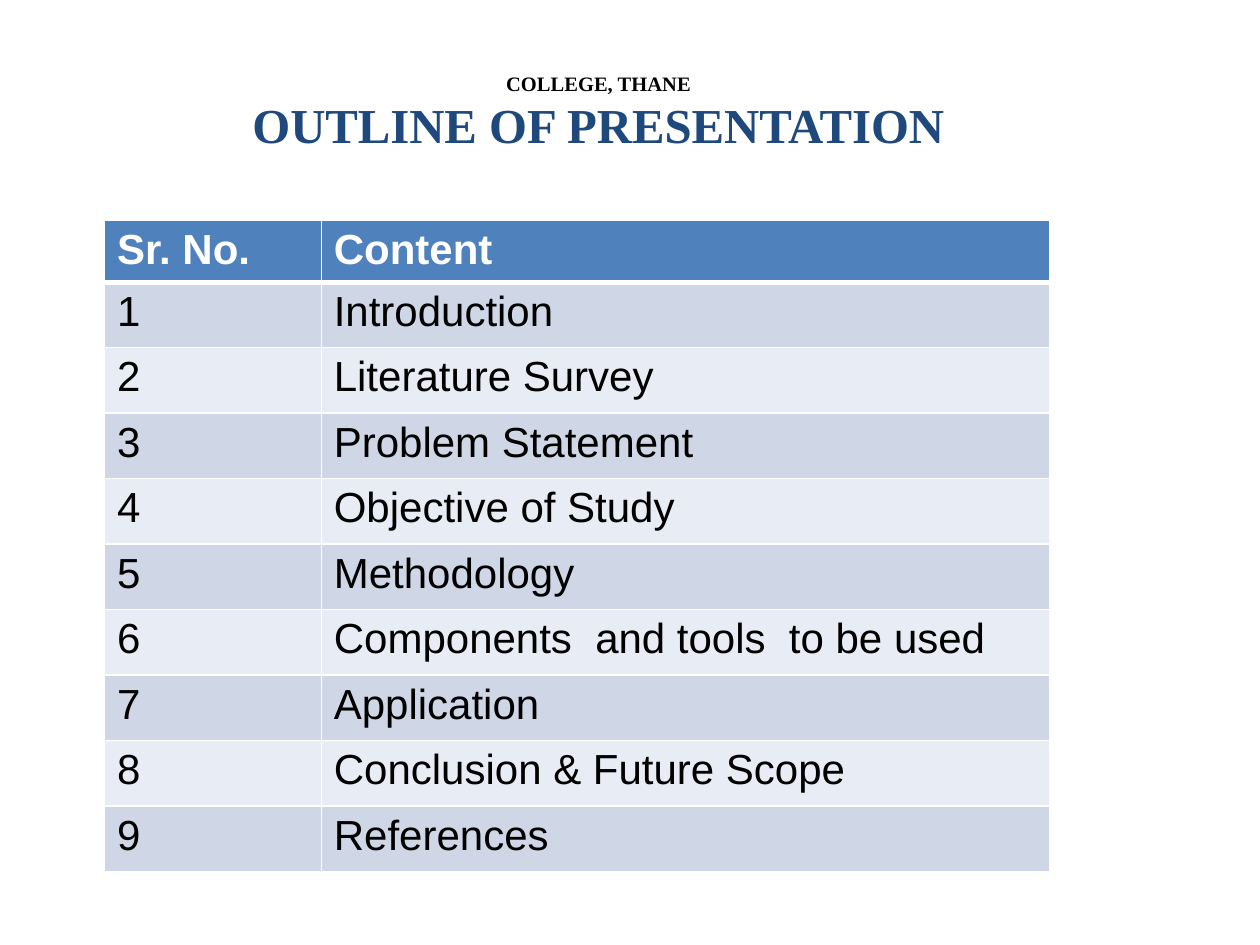
"""Builds the outline slide: a two-line title above a numbered table of contents."""
from lxml import etree
from pptx import Presentation
from pptx.dml.color import RGBColor
from pptx.enum.text import MSO_ANCHOR, PP_ALIGN
from pptx.oxml.ns import qn
from pptx.util import Inches, Pt

MIDDLE = MSO_ANCHOR.MIDDLE
CENTER = PP_ALIGN.CENTER
WHITE = RGBColor(0xFF, 0xFF, 0xFF)
BLACK = RGBColor(0x00, 0x00, 0x00)
NAVY = RGBColor(0x1F, 0x49, 0x7D)
HEADER_BLUE = RGBColor(0x4F, 0x81, 0xBD)
ODD_BAND = RGBColor(0xCF, 0xD7, 0xE7)
EVEN_BAND = RGBColor(0xE8, 0xEC, 0xF4)

TITLE_ONLY = 5
TOPICS = [
    "Introduction",
    "Literature Survey",
    "Problem Statement",
    "Objective of Study",
    "Methodology",
    "Components  and tools  to be used",
    "Application",
    "Conclusion & Future Scope",
    "References",
]


class OutlineSlide:
    """Holds the fonts and the current slide, and draws its elements."""

    title_font = "Times New Roman"
    table_font = "Arial"
    table_size = 24

    def __init__(self, deck):
        self.slide = deck.slides.add_slide(deck.slide_layouts[TITLE_ONLY])

    def add_run(self, paragraph, text, font, size, color, bold):
        """Adds one styled run."""
        run = paragraph.add_run()
        run.text = text
        run.font.name = font
        run.font.size = Pt(size)
        run.font.color.rgb = color
        run.font.bold = bold

    def add_title(self, left, top, width, height, institute, heading):
        """Fills the title placeholder with a small line and a large one."""
        title = self.slide.shapes.title
        title.left, title.top = Inches(left), Inches(top)
        title.width, title.height = Inches(width), Inches(height)
        frame = title.text_frame
        frame.vertical_anchor = MIDDLE
        frame.margin_bottom = Inches(0.43)
        line = frame.paragraphs[0]
        line.alignment = CENTER
        self.add_run(line, institute, self.title_font, 11.7, BLACK, True)
        line.add_line_break()
        self.add_run(line, heading, self.title_font, 27.9, NAVY, True)

    def add_borders(self, cell, top, bottom):
        """Draws white borders, one point wide at the sides."""
        properties = cell._tc.get_or_add_tcPr()
        for side, width in (("L", 1), ("R", 1), ("T", top), ("B", bottom)):
            border = etree.SubElement(properties, qn(f"a:ln{side}"), w=str(Pt(width)))
            fill = etree.SubElement(border, qn("a:solidFill"))
            etree.SubElement(fill, qn("a:srgbClr"), val=str(WHITE))

    def add_table(self, left, top, column_widths, header_height, row_height, rows):
        """Adds a table with a blue header and banded rows."""
        height = header_height + row_height * (len(rows) - 1)
        table = self.slide.shapes.add_table(
            len(rows), len(column_widths), Inches(left), Inches(top),
            Inches(sum(column_widths)), Inches(height)).table
        for column, width in zip(table.columns, column_widths):
            column.width = Inches(width)
        for index, texts in enumerate(rows):
            header = index == 0
            table.rows[index].height = Inches(header_height if header else row_height)
            band = HEADER_BLUE if header else ODD_BAND if index % 2 else EVEN_BAND
            for position, text in enumerate(texts):
                cell = table.cell(index, position)
                self.add_borders(cell, 3 if index == 1 else 1, 3 if header else 1)
                cell.fill.solid()
                cell.fill.fore_color.rgb = band
                self.add_run(cell.text_frame.paragraphs[0], text, self.table_font,
                             self.table_size, WHITE if header else BLACK, header)


def main():
    """Builds and saves the slide."""
    deck = Presentation()
    deck.slide_width, deck.slide_height = Inches(10), Inches(7.5)
    outline = OutlineSlide(deck)
    outline.add_title(0.25, 0.58, 9, 1, "COLLEGE, THANE", "OUTLINE OF PRESENTATION")
    numbered = [(str(number), topic) for number, topic in enumerate(TOPICS, 1)]
    outline.add_table(0.83, 1.75, (1.72, 5.78), 0.49, 0.52,
                      [("Sr. No.", "Content")] + numbered)
    deck.save("out.pptx")


if __name__ == "__main__":
    main()
